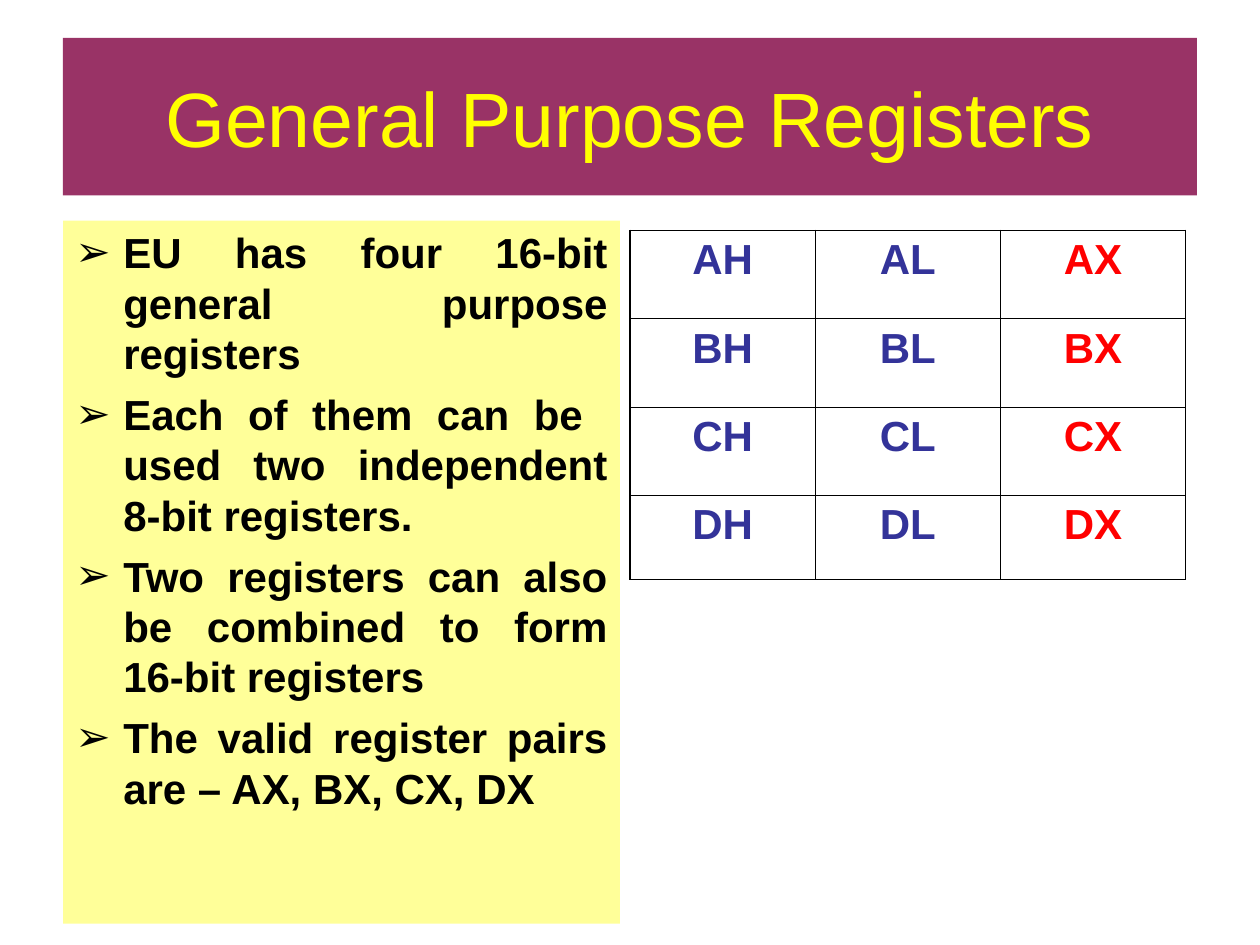
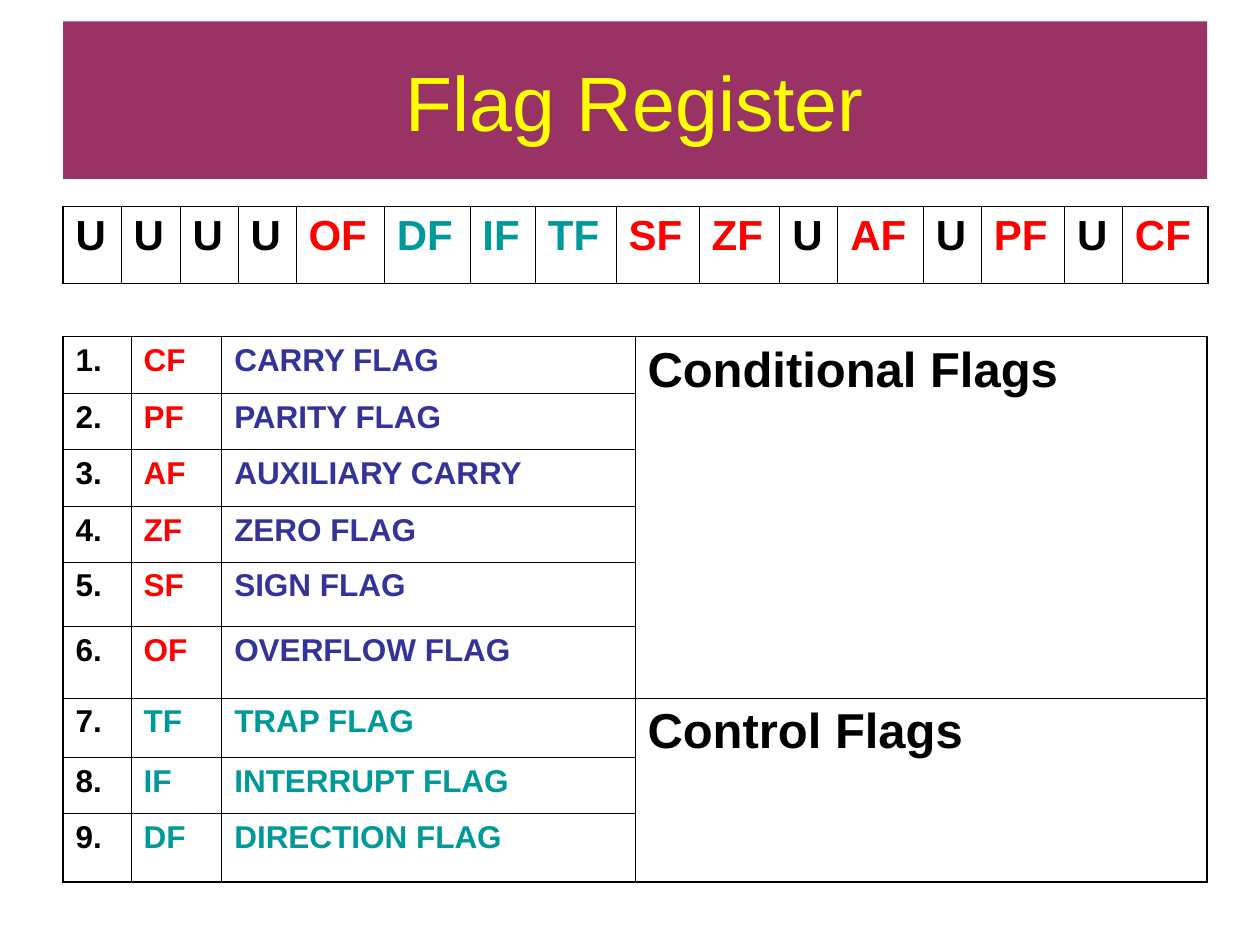
from dataclasses import dataclass

from lxml.etree import SubElement
from pptx import Presentation
from pptx.dml.color import RGBColor
from pptx.enum.shapes import MSO_SHAPE as Shape
from pptx.enum.text import MSO_ANCHOR as Anchor, PP_ALIGN as Align
from pptx.oxml.ns import qn
from pptx.util import Inches, Pt


@dataclass(frozen=True)
class Theme:
    font: str = "Arial"
    band: str = "993366"
    title: str = "FFFF00"
    panel: str = "FFFF99"
    ink: str = "000000"
    blue: str = "333399"
    red: str = "FF0000"
    teal: str = "009999"
    title_size: float = 44
    heading_size: float = 28
    body_size: float = 24
    list_size: float = 18
    outer_line: float = 1.08
    inner_line: float = 0.45


THEME = Theme()
LEFT = 0.5
BAND_HEIGHT = 1.25
CONTROL_FLAGS = ("TF", "IF", "DF")

REGISTER_POINTS = (
    "EU has four 16-bit general purpose registers",
    "Each of them can be  used two independent 8-bit registers.",
    "Two registers can also be combined to form 16-bit registers",
    "The valid register pairs are – AX, BX, CX, DX",
)
FLAG_BITS = "U U U U OF DF IF TF SF ZF U AF U PF U CF".split()
BIT_WIDTHS = (0.46, 0.47, 0.46, 0.46, 0.7, 0.68, 0.52, 0.64,
              0.66, 0.64, 0.46, 0.68, 0.46, 0.66, 0.46, 0.68)
FLAG_NAMES = (
    ("CF", "CARRY FLAG"),
    ("PF", "PARITY FLAG"),
    ("AF", "AUXILIARY CARRY"),
    ("ZF", "ZERO FLAG"),
    ("SF", "SIGN FLAG"),
    ("OF", "OVERFLOW FLAG"),
    ("TF", "TRAP FLAG"),
    ("IF", "INTERRUPT FLAG"),
    ("DF", "DIRECTION FLAG"),
)
FLAG_ROW_HEIGHTS = (0.45, 0.45, 0.45, 0.44, 0.51, 0.57, 0.47, 0.45, 0.54)
FLAG_GROUPS = (("Conditional Flags", 0, 5), ("Control Flags", 6, 8))


def flag_color(flag):
    if flag == "U":
        return THEME.ink
    return THEME.teal if flag in CONTROL_FLAGS else THEME.red


def add_run(paragraph, text, size, color, bold=True):
    run = paragraph.add_run()
    run.text = text
    run.font.name = THEME.font
    run.font.size = Pt(size)
    run.font.bold = bold
    run.font.color.rgb = RGBColor.from_string(color)


def add_panel(slide, left, top, width, height, color, anchor):
    shape = slide.shapes.add_shape(
        Shape.RECTANGLE, Inches(left), Inches(top), Inches(width), Inches(height))
    shape.shadow.inherit = False
    shape.fill.solid()
    shape.fill.fore_color.rgb = RGBColor.from_string(color)
    shape.line.fill.background()
    shape.text_frame.word_wrap = True
    shape.text_frame.vertical_anchor = anchor
    return shape.text_frame


def add_title(slide, text, top, width):
    frame = add_panel(slide, LEFT, top, width, BAND_HEIGHT, THEME.band, Anchor.MIDDLE)
    paragraph = frame.paragraphs[0]
    paragraph.alignment = Align.CENTER
    add_run(paragraph, text, THEME.title_size, THEME.title, bold=False)


def add_bullet(paragraph, indent=0.38):
    properties = paragraph._p.get_or_add_pPr()
    properties.set("marL", str(Inches(indent)))
    properties.set("indent", str(-Inches(indent)))
    color = SubElement(properties, qn("a:buClr"))
    SubElement(color, qn("a:srgbClr"), val=THEME.ink)
    SubElement(properties, qn("a:buFont"), typeface=THEME.font)
    SubElement(properties, qn("a:buChar"), char="➢")


def add_bullet_panel(slide, points, left, top, width, height):
    frame = add_panel(slide, left, top, width, height, THEME.panel, Anchor.TOP)
    for index, point in enumerate(points):
        paragraph = frame.add_paragraph() if index else frame.paragraphs[0]
        paragraph.alignment = Align.JUSTIFY
        paragraph.space_before = Pt(6)
        add_bullet(paragraph)
        add_run(paragraph, point, THEME.body_size, THEME.ink)


def add_borders(cell, outer_sides):
    properties = cell._tc.get_or_add_tcPr()
    for side in "LRTB":
        width = THEME.outer_line if side in outer_sides else THEME.inner_line
        line = SubElement(properties, qn(f"a:ln{side}"), w=str(Pt(width)))
        fill = SubElement(line, qn("a:solidFill"))
        SubElement(fill, qn("a:srgbClr"), val=THEME.ink)


def add_grid(slide, left, top, widths, heights):
    table = slide.shapes.add_table(
        len(heights), len(widths), Inches(left), Inches(top),
        Inches(sum(widths)), Inches(sum(heights))).table
    table.first_row = False
    table.horz_banding = False
    for column, width in zip(table.columns, widths):
        column.width = Inches(width)
    for row, height in zip(table.rows, heights):
        row.height = Inches(height)
    return table


def finish_grid(table):
    last_row, last_column = len(table.rows) - 1, len(table.columns) - 1
    for row in range(last_row + 1):
        for column in range(last_column + 1):
            cell = table.cell(row, column)
            bottom = row + (cell.span_height if cell.is_merge_origin else 1) - 1
            edges = {"L": column == 0, "R": column == last_column,
                     "T": row == 0, "B": bottom == last_row}
            add_borders(cell, [side for side, is_outer in edges.items() if is_outer])
            cell.fill.background()


def write_cell(cell, text, size, color, alignment=Align.LEFT):
    paragraph = cell.text_frame.paragraphs[0]
    paragraph.alignment = alignment
    paragraph.space_before = Pt(size / 4)
    add_run(paragraph, text, size, color)


def add_register_table(slide):
    table = add_grid(slide, 5, 1.83, (1.47,) * 3, (0.7, 0.7, 0.7, 0.67))
    for row, letter in enumerate("ABCD"):
        for column, (suffix, color) in enumerate(
                zip("HLX", (THEME.blue, THEME.blue, THEME.red))):
            write_cell(table.cell(row, column), letter + suffix,
                       THEME.body_size, color, Align.CENTER)
    finish_grid(table)


def add_bit_table(slide):
    table = add_grid(slide, LEFT, 1.64, BIT_WIDTHS, (0.61,))
    for column, flag in enumerate(FLAG_BITS):
        write_cell(table.cell(0, column), flag, THEME.body_size, flag_color(flag))
    finish_grid(table)


def add_flag_table(slide):
    table = add_grid(slide, LEFT, 2.67, (0.54, 0.72, 3.28, 4.54), FLAG_ROW_HEIGHTS)
    for row, (flag, name) in enumerate(FLAG_NAMES):
        name_color = THEME.teal if flag in CONTROL_FLAGS else THEME.blue
        entries = ((f"{row + 1}.", THEME.ink), (flag, flag_color(flag)), (name, name_color))
        for column, (text, color) in enumerate(entries):
            write_cell(table.cell(row, column), text, THEME.list_size, color)
    for heading, first, last in FLAG_GROUPS:
        group = table.cell(first, 3)
        group.merge(table.cell(last, 3))
        write_cell(group, heading, THEME.heading_size, THEME.ink)
    finish_grid(table)


def main():
    presentation = Presentation()
    presentation.slide_width = Inches(10)
    presentation.slide_height = Inches(7.5)
    blank = presentation.slide_layouts[6]

    registers = presentation.slides.add_slide(blank)
    add_title(registers, "General Purpose Registers", 0.3, 9)
    add_bullet_panel(registers, REGISTER_POINTS, LEFT, 1.75, 4.42, 5.58)
    add_register_table(registers)

    flags = presentation.slides.add_slide(blank)
    add_bit_table(flags)
    add_title(flags, "Flag Register", 0.17, 9.08)
    add_flag_table(flags)

    presentation.save("out.pptx")


if __name__ == "__main__":
    main()
